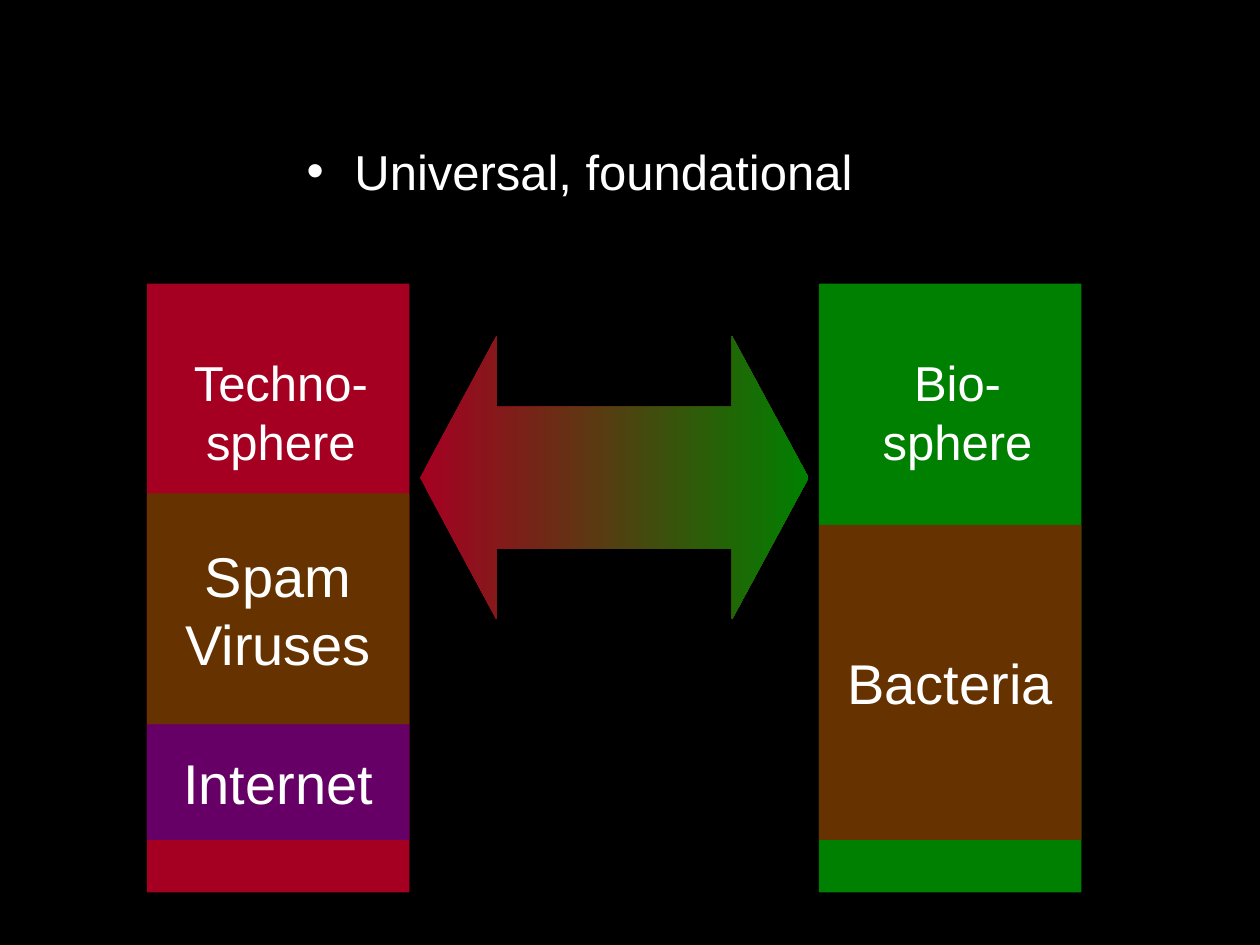
from dataclasses import dataclass

from lxml import etree
from pptx import Presentation
from pptx.dml.color import RGBColor
from pptx.enum.shapes import MSO_SHAPE
from pptx.enum.text import MSO_ANCHOR, MSO_AUTO_SIZE, PP_ALIGN
from pptx.oxml.ns import qn
from pptx.util import Inches, Pt

RECTANGLE = MSO_SHAPE.RECTANGLE
DOUBLE_ARROW = MSO_SHAPE.LEFT_RIGHT_ARROW
CENTER = PP_ALIGN.CENTER
TOP, MIDDLE = MSO_ANCHOR.TOP, MSO_ANCHOR.MIDDLE
GROW = MSO_AUTO_SIZE.SHAPE_TO_FIT_TEXT
CELL = Inches(1) / 12
COLUMN_TOP, COLUMN_WIDTH, COLUMN_HEIGHT = 27, 25, 58


@dataclass(frozen=True)
class Theme:
    """Colours, font and type sizes of the slide."""
    background: str = "000000"
    text: str = "FFFFFF"
    techno: str = "A50021"
    bio: str = "008000"
    threat: str = "663300"
    network: str = "660066"
    font: str = "Arial"
    label_size: int = 28
    block_size: int = 32


THEME = Theme()


def color(value):
    """Return a colour object for a hex value."""
    return RGBColor.from_string(value)


def grid(*cells):
    """Turn grid columns and rows into slide lengths."""
    return [round(cell * CELL) for cell in cells]


def style_text(text_frame, size, alignment=None):
    """Apply the theme font to every paragraph and run."""
    for paragraph in text_frame.paragraphs:
        paragraph.alignment = alignment
        for run in paragraph.runs:
            run.font.name = THEME.font
            run.font.size = Pt(size)
            run.font.color.rgb = color(THEME.text)


def add_plain_shape(slide, kind, box):
    """Add a preset shape without outline or shadow."""
    shape = slide.shapes.add_shape(kind, *grid(*box))
    shape.shadow.inherit = False
    shape.line.fill.background()
    return shape


def add_block(slide, box, fill, text=""):
    """Add a filled rectangle with optional centred text."""
    shape = add_plain_shape(slide, RECTANGLE, box)
    shape.fill.solid()
    shape.fill.fore_color.rgb = color(fill)
    if text:
        text_frame = shape.text_frame
        text_frame.text = text
        text_frame.word_wrap = False
        text_frame.vertical_anchor = MIDDLE
        style_text(text_frame, THEME.block_size, CENTER)


def add_column(slide, left, fill, label, label_span, blocks):
    """Add a sphere column with its label and stacked blocks."""
    add_block(slide, (left, COLUMN_TOP, COLUMN_WIDTH, COLUMN_HEIGHT), fill)
    offset, width = label_span
    label_box = slide.shapes.add_textbox(*grid(left + offset, COLUMN_TOP + 6, width, 12.5))
    text_frame = label_box.text_frame
    text_frame.text = label
    text_frame.word_wrap = False
    text_frame.auto_size = GROW
    style_text(text_frame, THEME.label_size, CENTER)
    for row, height, block_fill, text in blocks:
        add_block(slide, (left, COLUMN_TOP + row, COLUMN_WIDTH, height), block_fill, text)


def add_bridge_arrow(slide, box):
    """Add the double arrow that blends one sphere into the other."""
    arrow = add_plain_shape(slide, DOUBLE_ARROW, box)
    arrow.adjustments[0] = 0.5
    arrow.adjustments[1] = 0.27
    arrow.fill.gradient()
    arrow.fill.gradient_angle = 0
    for stop, value, position in zip(arrow.fill.gradient_stops, (THEME.techno, THEME.bio), (0, 1)):
        stop.color.rgb = color(value)
        stop.position = position


def fill_body(body, box, text):
    """Place the body placeholder and set its bulleted line."""
    body.left, body.top, body.width, body.height = grid(*box)
    text_frame = body.text_frame
    text_frame.text = text
    text_frame.word_wrap = True
    text_frame.vertical_anchor = TOP
    text_frame.margin_top = Inches(1.04)
    paragraph = text_frame.paragraphs[0]
    paragraph.space_before = Pt(0)
    properties = paragraph._p.get_or_add_pPr()
    properties.set("marL", str(Inches(0.38)))
    properties.set("indent", str(-Inches(0.38)))
    bullet_color = etree.SubElement(properties, qn("a:buClr"))
    etree.SubElement(bullet_color, qn("a:srgbClr"), val=THEME.text)
    etree.SubElement(properties, qn("a:buFont"), typeface=THEME.font)
    etree.SubElement(properties, qn("a:buChar"), char="•")
    style_text(text_frame, THEME.label_size)


def build_spheres_slide(presentation):
    """Build the comparison of technosphere and biosphere."""
    slide = presentation.slides.add_slide(presentation.slide_layouts[1])
    slide.background.fill.solid()
    slide.background.fill.fore_color.rgb = color(THEME.background)
    title = slide.shapes.title
    title.element.getparent().remove(title.element)
    fill_body(slide.placeholders[1], (28, 1, 68, 51), "Universal, foundational")
    add_column(slide, 14, THEME.techno, "Techno-\nsphere", (3, 19.5), [
        (20, 22, THEME.threat, "Spam\nViruses"),
        (42, 11, THEME.network, "Internet"),
    ])
    add_column(slide, 78, THEME.bio, "Bio-\nsphere", (4.7, 17), [
        (23, 30, THEME.threat, "Bacteria"),
    ])
    add_bridge_arrow(slide, (40, 32, 37, 27))


def main():
    """Create and save the presentation."""
    presentation = Presentation()
    presentation.slide_width = Inches(10)
    presentation.slide_height = Inches(7.5)
    build_spheres_slide(presentation)
    presentation.save("out.pptx")


if __name__ == "__main__":
    main()
